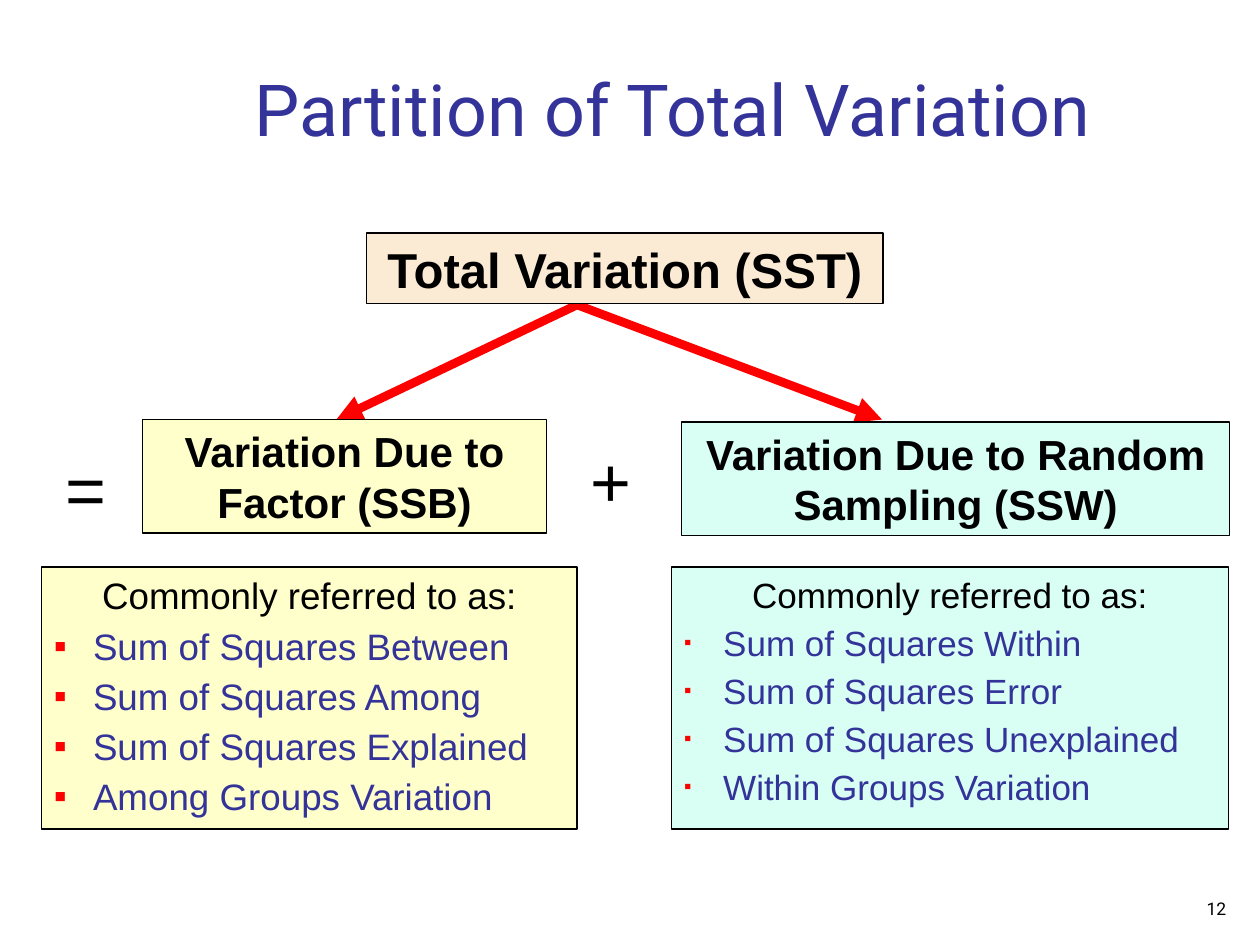
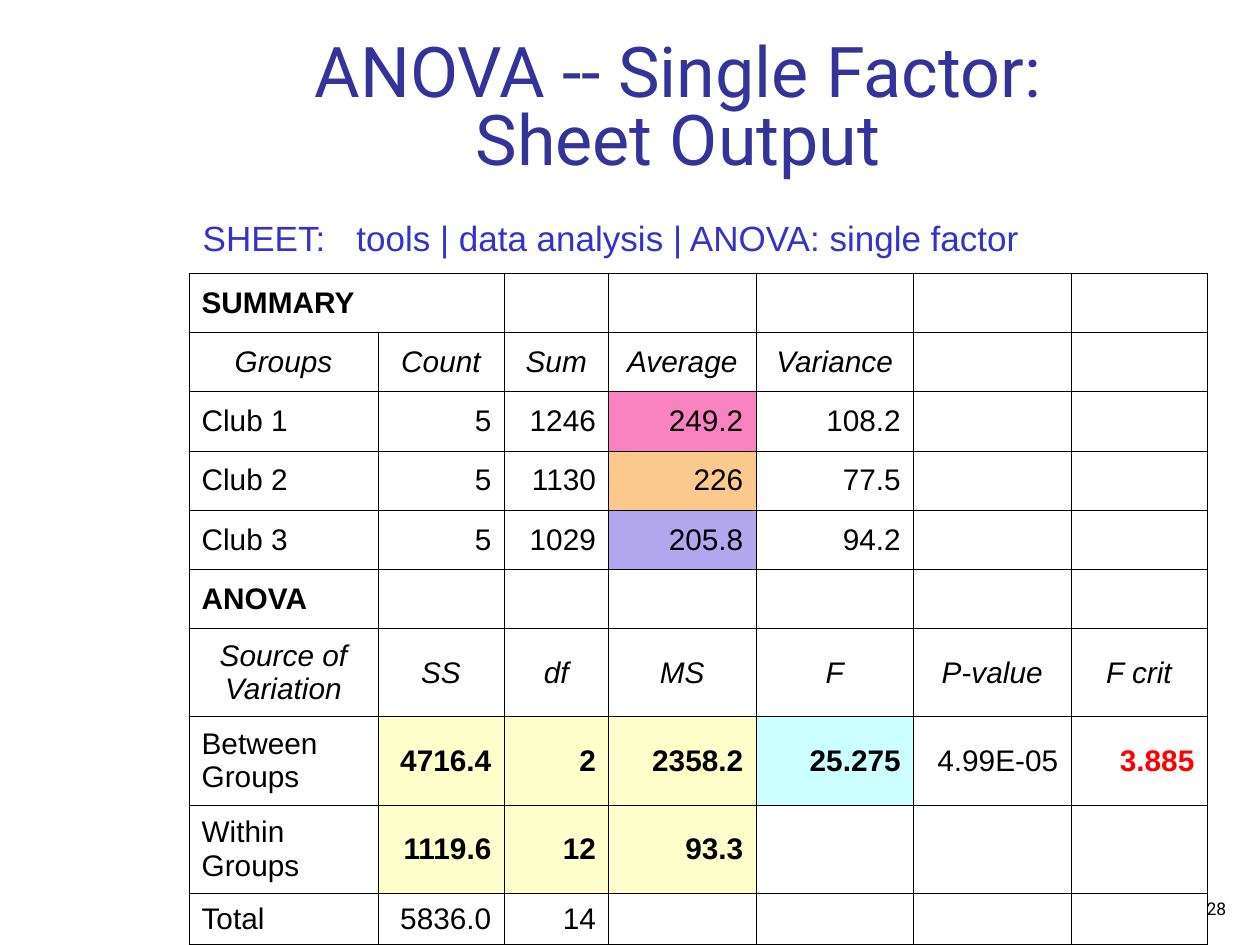
"""Build two slides on partitioning variation and the single-factor ANOVA table."""
import pptx
import pptx.util
import pptx.dml.color
import pptx.enum.shapes
import pptx.enum.text
import pptx.oxml.ns
import lxml.etree

Inches = pptx.util.Inches
Pt = pptx.util.Pt
ALIGN = pptx.enum.text.PP_ALIGN
ANCHOR = pptx.enum.text.MSO_ANCHOR

BLACK, RED, NAVY, BLUE = "000000", "FF0000", "333399", "3333CC"
YELLOW, MINT, PEACH, CYAN = "FFFFCC", "D9FFF5", "FCEBD4", "CCFFFF"
PINK, ORANGE, VIOLET = "F983C1", "FCC98C", "B2A6EE"
BODY_FONT, TITLE_FONT = "Arial", "Roboto"

COLUMN_WIDTHS = [1.5, 1, 0.83, 1.17, 1.25, 1.25, 1.08]
ROW_HEIGHTS = [0.47] * 6 + [0.7] * 3 + [0.4]
ANOVA_ROWS = [
    ["SUMMARY"],
    ["Groups", "Count", "Sum", "Average", "Variance"],
    ["Club 1", "5", "1246", "249.2", "108.2"],
    ["Club 2", "5", "1130", "226", "77.5"],
    ["Club 3", "5", "1029", "205.8", "94.2"],
    ["ANOVA"],
    ["Source of Variation", "SS", "df", "MS", "F", "P-value", "F crit"],
    ["Between Groups", "4716.4", "2", "2358.2", "25.275", "4.99E-05", "3.885"],
    ["Within\nGroups", "1119.6", "12", "93.3"],
    ["Total", "5836.0", "14"],
]
SECTION_ROWS, LABEL_ROWS = (0, 5), (1, 6)
F_CRIT = (7, 6)
CELL_FILLS = {(2, 3): PINK, (3, 3): ORANGE, (4, 3): VIOLET, (7, 4): CYAN}
CELL_FILLS.update({(row, column): YELLOW for row in (7, 8) for column in (1, 2, 3)})


def rgb(value):
    return pptx.dml.color.RGBColor.from_string(value)


def add_xml(parent, tag, **attributes):
    return lxml.etree.SubElement(parent, pptx.oxml.ns.qn(tag), attributes)


def write(frame, text, size=20, color=BLACK, font=BODY_FONT, bold=False,
          italic=False, align=ALIGN.LEFT, spacing=None, before=0):
    """Append one paragraph to a text frame and return it."""
    para = frame.paragraphs[0]
    if para.runs:
        para = frame.add_paragraph()
    para.alignment = align
    para.space_before = Pt(before)
    if spacing:
        para.line_spacing = spacing
    span = para.add_run()
    span.text = text
    span.font.size = Pt(size)
    span.font.name = font
    span.font.bold = bold
    span.font.italic = italic
    span.font.color.rgb = rgb(color)
    return para


def place(box, left, top, width, height):
    box.left, box.top = Inches(left), Inches(top)
    box.width, box.height = Inches(width), Inches(height)


def prepare_frame(box, anchor=ANCHOR.TOP, side=0.1):
    frame = box.text_frame
    frame.word_wrap = True
    frame.auto_size = pptx.enum.text.MSO_AUTO_SIZE.NONE
    frame.vertical_anchor = anchor
    frame.margin_left = frame.margin_right = Inches(side)
    frame.margin_top = frame.margin_bottom = Inches(0.05)
    return frame


def add_title(slide, lines, area, anchor, size, spacings):
    title = slide.shapes.title
    place(title, *area)
    frame = prepare_frame(title, anchor)
    for line, spacing in zip(lines, spacings):
        write(frame, line, size=size, color=NAVY, font=TITLE_FONT,
              align=ALIGN.CENTER, spacing=spacing)


def add_text(slide, text, area, anchor=ANCHOR.TOP, **style):
    box = slide.shapes.add_textbox(*map(Inches, area))
    return write(prepare_frame(box, anchor), text, **style)


def add_page_number(slide, number):
    add_text(slide, number, (7.75, 7, 2.08, 0.34), ANCHOR.BOTTOM,
             size=10, font=TITLE_FONT, align=ALIGN.RIGHT)


def paint(box, fill, line_width=0.75):
    box.fill.solid()
    box.fill.fore_color.rgb = rgb(fill)
    box.line.color.rgb = rgb(BLACK)
    box.line.width = Pt(line_width)


def add_rectangle(slide, area, fill, line_width=0.75):
    box = slide.shapes.add_shape(
        pptx.enum.shapes.MSO_SHAPE.RECTANGLE, *map(Inches, area))
    box.shadow.inherit = False
    paint(box, fill, line_width)
    return box


def add_label_box(slide, text, area, fill, size=24, line_width=0.75):
    box = add_rectangle(slide, area, fill, line_width)
    write(prepare_frame(box), text, size=size, bold=True, align=ALIGN.CENTER)


def add_arrow(slide, start, end):
    arrow = slide.shapes.add_connector(
        pptx.enum.shapes.MSO_CONNECTOR.STRAIGHT, *map(Inches, start + end))
    arrow.line.color.rgb = rgb(RED)
    arrow.line.width = Pt(5)
    add_xml(arrow.line._get_or_add_ln(), "a:tailEnd", type="triangle")
    add_xml(arrow._element.spPr, "a:effectLst")


def set_bullet(para, scale):
    properties = para._p.get_or_add_pPr()
    properties.set("marL", str(Inches(0.31)))
    properties.set("indent", str(-Inches(0.31)))
    color = add_xml(properties, "a:buClr")
    add_xml(color, "a:srgbClr", val=RED)
    add_xml(properties, "a:buSzPct", val=str(scale * 1000))
    add_xml(properties, "a:buFont", typeface=BODY_FONT)
    add_xml(properties, "a:buChar", char="▪")


def fill_name_list(box, names, size, bullet_scale):
    frame = prepare_frame(box)
    heading = write(frame, "Commonly referred to as:", size=size, align=ALIGN.CENTER)
    properties = heading._p.get_or_add_pPr()
    properties.set("marL", "0")
    properties.set("indent", "0")
    add_xml(properties, "a:buNone")
    for name in names:
        set_bullet(write(frame, name, size=size, color=NAVY, before=3.5), bullet_scale)


def set_borders(cell):
    properties = cell._tc.get_or_add_tcPr()
    for side in ("a:lnL", "a:lnR", "a:lnT", "a:lnB"):
        line = add_xml(properties, side, w=str(Pt(0.45)))
        add_xml(add_xml(line, "a:solidFill"), "a:srgbClr", val=BLACK)


def format_cell(cell, position):
    row, column = position
    set_borders(cell)
    cell.vertical_anchor = ANCHOR.MIDDLE
    if position in CELL_FILLS:
        cell.fill.solid()
        cell.fill.fore_color.rgb = rgb(CELL_FILLS[position])
    else:
        cell.fill.background()
    if column >= len(ANOVA_ROWS[row]):
        return
    if row in LABEL_ROWS:
        align = ALIGN.CENTER
    else:
        align = ALIGN.RIGHT if column else ALIGN.LEFT
    strong = CELL_FILLS.get(position) in (YELLOW, CYAN) or position == F_CRIT
    for line in ANOVA_ROWS[row][column].split("\n"):
        write(cell.text_frame, line, size=17, align=align,
              bold=strong or row in SECTION_ROWS, italic=row in LABEL_ROWS,
              color=RED if position == F_CRIT else BLACK)


def add_anova_table(slide):
    table = slide.shapes.add_table(
        len(ROW_HEIGHTS), len(COLUMN_WIDTHS), Inches(1.5), Inches(2.17),
        Inches(sum(COLUMN_WIDTHS)), Inches(sum(ROW_HEIGHTS))).table
    table.first_row = table.horz_banding = False
    for column, width in zip(table.columns, COLUMN_WIDTHS):
        column.width = Inches(width)
    for row, height in zip(table.rows, ROW_HEIGHTS):
        row.height = Inches(height)
    for row in range(len(ROW_HEIGHTS)):
        for column in range(len(COLUMN_WIDTHS)):
            format_cell(table.cell(row, column), (row, column))
    table.cell(0, 0).merge(table.cell(0, 1))


def build_partition_slide(deck):
    slide = deck.slides.add_slide(deck.slide_layouts[1])
    add_title(slide, ["Partition of Total Variation"], (1.08, 0.42, 8.52, 0.83),
              ANCHOR.BOTTOM, 41, [1.1])
    for target in ((2.67, 3.33), (7, 3.33)):
        add_arrow(slide, (4.58, 2.42), target)
    add_label_box(slide, "Total Variation (SST)", (2.91, 1.85, 4.1, 0.56), PEACH,
                  size=28, line_width=1)
    add_label_box(slide, "Variation Due to Factor (SSB)",
                  (1.13, 3.33, 3.21, 0.9), YELLOW)
    add_label_box(slide, "Variation Due to Random Sampling (SSW)",
                  (5.41, 3.35, 4.35, 0.9), MINT)
    add_text(slide, "=", (0.42, 3.49, 0.91, 0.76), size=40)
    add_text(slide, "+", (4.59, 3.42, 0.91, 0.76), size=40)

    between = add_rectangle(slide, (0.33, 4.5, 4.25, 2.08), YELLOW)
    fill_name_list(between, ["Sum of Squares Between", "Sum of Squares Among",
                             "Sum of Squares Explained", "Among Groups Variation"],
                   21, 100)
    within = slide.placeholders[1]
    place(within, 5.33, 4.5, 4.42, 2.08)
    paint(within, MINT)
    fill_name_list(within, ["Sum of Squares Within", "Sum of Squares Error",
                            "Sum of Squares Unexplained", "Within Groups Variation"],
                   20, 60)
    add_page_number(slide, "12")


def build_anova_slide(deck):
    slide = deck.slides.add_slide(deck.slide_layouts[5])
    add_anova_table(slide)
    add_title(slide, ["ANOVA -- Single Factor:", "Sheet Output"],
              (1.17, 0.17, 8.42, 1.3), ANCHOR.TOP, 40, [1.0, 0.8])
    menu = add_text(slide, "SHEET:\ttools | data analysis | ANOVA: single factor",
                    (1.51, 1.67, 6.72, 0.44), color=BLUE)
    stops = add_xml(menu._p.get_or_add_pPr(), "a:tabLst")
    add_xml(stops, "a:tab", pos=str(Inches(1.22)), algn="l")
    add_page_number(slide, "28")


def main():
    deck = pptx.Presentation()
    deck.slide_width, deck.slide_height = Inches(10), Inches(7.5)
    build_partition_slide(deck)
    build_anova_slide(deck)
    deck.save("out.pptx")


if __name__ == "__main__":
    main()
